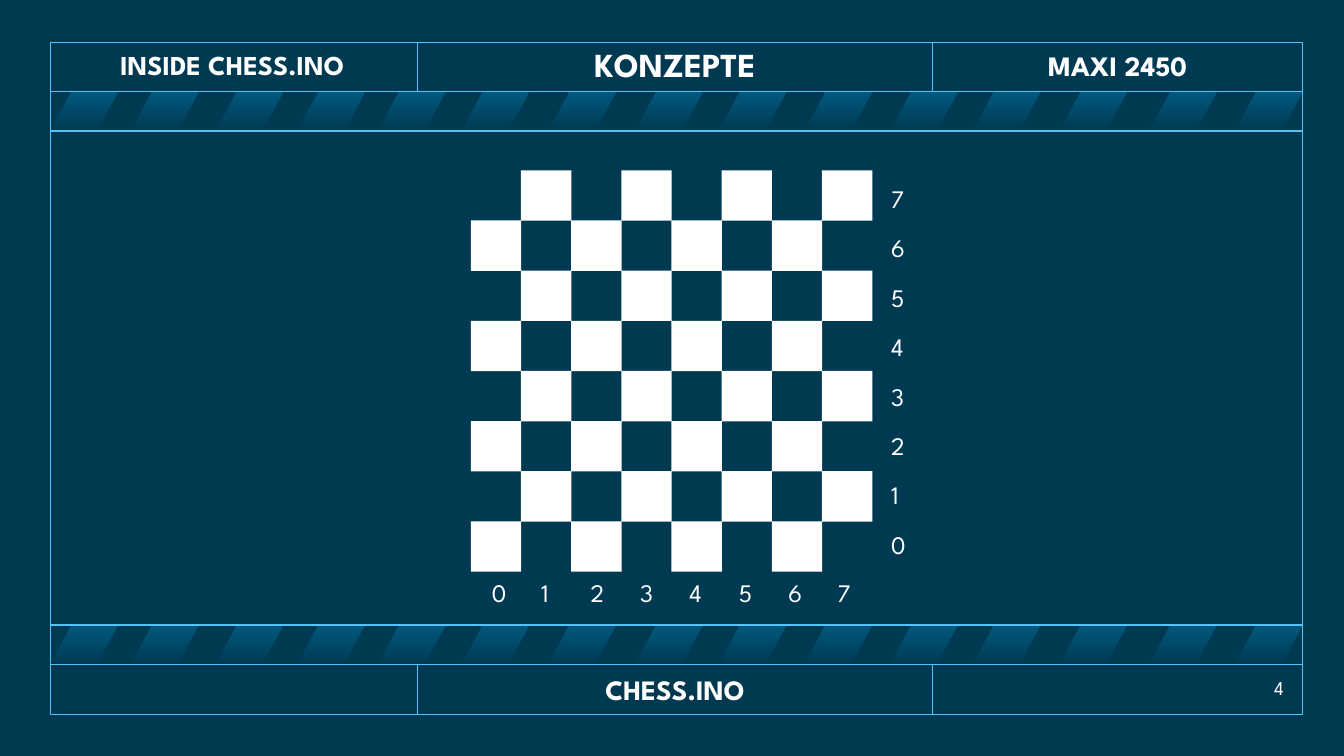
from lxml import etree
from pptx import Presentation
from pptx import util as u
from pptx.dml.color import RGBColor
from pptx.enum import shapes, text
from pptx.oxml.ns import qn

COLORS = {"navy": "003A52", "stripe": "00587D", "line": "51C3F9", "white": "FFFFFF"}
FONT = "League Spartan"
STRIPE_LEFTS = [0, 0.8, 1.64, 2.45, 3.25, 4.08, 4.94, 5.8,
                6.63, 7.48, 8.33, 9.15, 10.01, 10.9, 11.75]
ALIGN = text.PP_ALIGN


def rgb(name):
    return RGBColor.from_string(COLORS[name])


def add_shape(s, kind, x, y, w, h):
    sp = s.shapes.add_shape(kind, u.Inches(x), u.Inches(y), u.Inches(w), u.Inches(h))
    sp.shadow.inherit = False
    return sp


def add_line(s, x1, y1, x2, y2):
    line = s.shapes.add_connector(shapes.MSO_CONNECTOR.STRAIGHT, u.Inches(x1),
                                  u.Inches(y1), u.Inches(x2), u.Inches(y2))
    line.line.color.rgb = rgb("line")
    line.line.width = u.Pt(1)
    etree.SubElement(line._element.spPr, qn("a:effectLst"))


def add_text(s, words, box, size, align=ALIGN.CENTER, bold=False, spacing=None, wrap=True):
    tf = s.shapes.add_textbox(*[u.Inches(v) for v in box]).text_frame
    tf.word_wrap = wrap
    if not wrap:
        tf.auto_size = text.MSO_AUTO_SIZE.SHAPE_TO_FIT_TEXT
    tf.vertical_anchor = text.MSO_ANCHOR.MIDDLE
    p = tf.paragraphs[0]
    p.text = words
    p.alignment = align
    if spacing:
        p.line_spacing = spacing
    p.font.name = FONT
    p.font.size = u.Pt(size)
    p.font.bold = bold
    p.font.color.rgb = rgb("white")


def draw_frame(s, x, y, w, h):
    frame = add_shape(s, shapes.MSO_SHAPE.RECTANGLE, x, y, w, h)
    frame.fill.background()
    frame.line.color.rgb = rgb("line")
    frame.line.width = u.Pt(1)


def draw_dividers(s, x, y, h):
    for offset in (3.64, 8.75):
        add_line(s, x + offset, y, x + offset, y + h)


def draw_stripes(s, x, y, w, h):
    for left in STRIPE_LEFTS:
        sp = add_shape(s, shapes.MSO_SHAPE.PARALLELOGRAM, x + left, y, 0.67, h)
        sp.adjustments[0] = 0.538
        sp.fill.gradient()
        sp.fill.gradient_angle = 90
        for stop, color, position in zip(sp.fill.gradient_stops, ("navy", "stripe"), (0, 1)):
            stop.color.rgb = rgb(color)
            stop.position = position
        sp.line.fill.background()
    for edge in (y, y + h):
        add_line(s, x, edge, x + w, edge)


def draw_heading(s, words, size, x, y, w, h):
    add_text(s, words, (x, y, w, h), size, bold=True, spacing=0.9)


def draw_board(s, x, y, size):
    pitch = size / 8
    for row in range(8):
        for col in range(8):
            if (row + col) % 2:
                sp = add_shape(s, shapes.MSO_SHAPE.RECTANGLE,
                               x + col * pitch, y + row * pitch, 0.5, 0.5)
                sp.fill.solid()
                sp.fill.fore_color.rgb = rgb("white")
                sp.line.fill.background()
    for i in range(8):
        label_step = 0.49 * i
        for label, dx, dy in ((i, 0.11 + label_step, 3.99),
                              (7 - i, 4.07, 0.08 + label_step)):
            add_text(s, str(label), (x + dx, y + dy, 0.34, 0.4), 18,
                     align=ALIGN.LEFT, wrap=False)


def main():
    prs = Presentation()
    prs.slide_width, prs.slide_height = u.Inches(13.33), u.Inches(7.5)
    s = prs.slides.add_slide(prs.slide_layouts[6])
    s.background.fill.solid()
    s.background.fill.fore_color.rgb = rgb("navy")

    draw_frame(s, 0.5, 0.42, 12.42, 6.67)
    for top in (0.42, 6.59):
        draw_dividers(s, 0.5, top, 0.49)
    for top in (0.91, 6.2):
        draw_stripes(s, 0.5, top, 12.41, 0.39)

    draw_heading(s, "INSIDE CHESS.INO", 19.5, 0.48, 0.41, 3.65, 0.5)
    draw_heading(s, "KONZEPTE", 24, 4.15, 0.43, 5.09, 0.47)
    draw_heading(s, "MAXI 2450", 20, 9.26, 0.43, 3.65, 0.47)
    draw_heading(s, "CHESS.INO", 20, 4.15, 6.62, 5.09, 0.47)
    add_text(s, "4", (11.91, 6.67, 0.92, 0.3), 14, align=ALIGN.RIGHT)

    draw_board(s, 4.67, 1.69, 3.98)
    prs.save("out.pptx")


if __name__ == "__main__":
    main()
